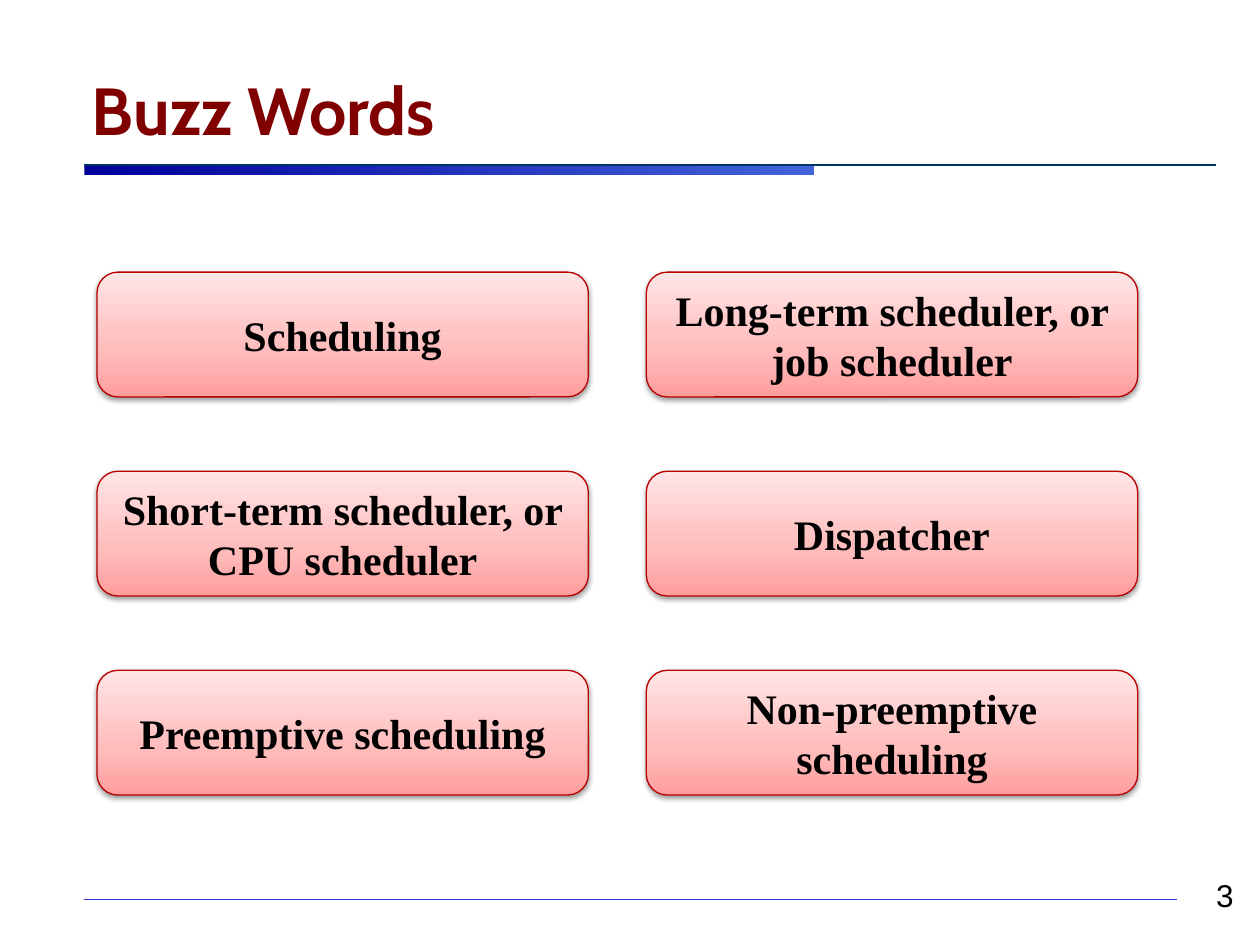
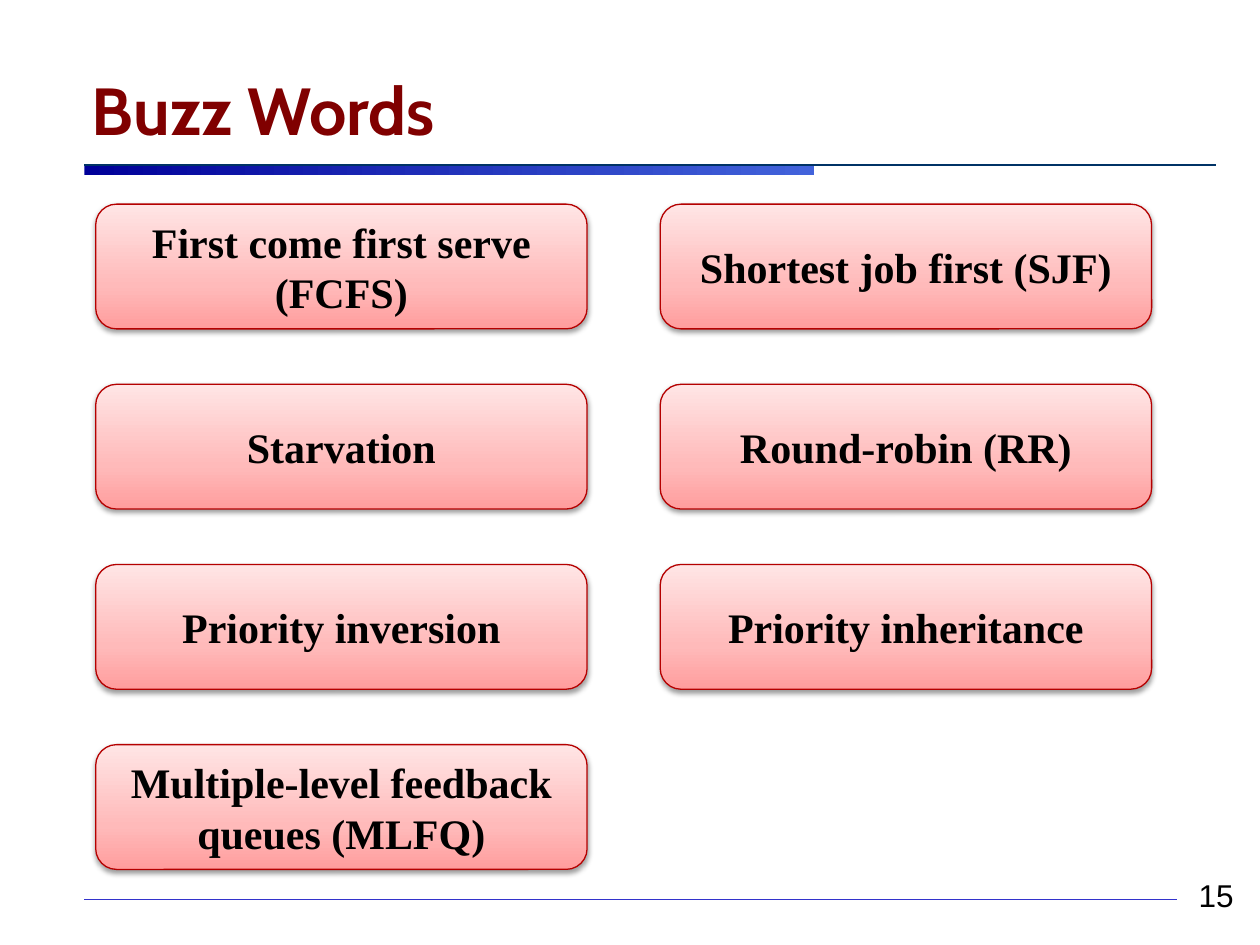
"""Build the two Buzz Words slides on scheduling."""
from copy import deepcopy

from lxml.etree import SubElement
from pptx import Presentation
from pptx.dml.color import RGBColor
from pptx.enum.shapes import MSO_CONNECTOR, MSO_SHAPE
from pptx.enum.text import MSO_ANCHOR, MSO_AUTO_SIZE, PP_ALIGN
from pptx.oxml.ns import qn
from pptx.util import Inches, Pt

COLUMNS, ROWS = 100, 75
CELL = Inches(0.1)
TITLE_ONLY = 5

MAROON = RGBColor(0x80, 0x00, 0x00)
BLACK = RGBColor(0x00, 0x00, 0x00)
NAVY = RGBColor(0x00, 0x33, 0x66)
INDIGO = RGBColor(0x33, 0x33, 0xCC)
BAND_DARK = RGBColor(0x00, 0x00, 0x99)
BAND_LIGHT = RGBColor(0x42, 0x63, 0xDB)
CARD_EDGE = RGBColor(0xB5, 0x00, 0x00)
CARD_STOPS = [
    (0, RGBColor(0xFF, 0x9D, 0x9D)),
    (0.35, RGBColor(0xFF, 0xBA, 0xBA)),
    (1, RGBColor(0xFF, 0xE5, 0xE5)),
]
BAND_STOPS = [(0, BAND_DARK), (1, BAND_LIGHT)]

SLIDES = [
    {
        "page": "3",
        "origin": (7.7, 21.6),
        "step": (43.6, 15.8),
        "words": [
            "Scheduling", "Long-term scheduler, or job scheduler",
            "Short-term scheduler, or CPU scheduler", "Dispatcher",
            "Preemptive scheduling", "Non-preemptive scheduling",
        ],
    },
    {
        "page": "15",
        "origin": (7.6, 16.2),
        "step": (44.8, 14.3),
        "words": [
            "First come first serve (FCFS)", "Shortest job first (SJF)",
            "Starvation", "Round-robin (RR)",
            "Priority inversion", "Priority inheritance",
            "Multiple-level feedback queues (MLFQ)",
        ],
    },
]


def cells(*lengths):
    """Turn grid counts into slide lengths."""
    return [round(length * CELL) for length in lengths]


def write(frame, text, font="Times New Roman", size=24, color=BLACK,
          bold=False, align=PP_ALIGN.LEFT, anchor=MSO_ANCHOR.MIDDLE):
    """Put formatted text into a frame."""
    frame.word_wrap = True
    frame.auto_size = MSO_AUTO_SIZE.NONE
    frame.vertical_anchor = anchor
    paragraph = frame.paragraphs[0]
    paragraph.alignment = align
    run = paragraph.add_run()
    run.text = text
    run.font.name = font
    run.font.size = Pt(size)
    run.font.bold = bold
    run.font.color.rgb = color


def fill_gradient(shape, stops, angle):
    """Fill a shape with a linear gradient of any number of stops."""
    shape.fill.gradient()
    shape.fill.gradient_angle = angle
    stop_list = shape.element.spPr.find(".//" + qn("a:gsLst"))
    while len(stop_list) < len(stops):
        stop_list.append(deepcopy(stop_list[0]))
    for stop, (position, color) in zip(shape.fill.gradient_stops, stops):
        stop.position = position
        stop.color.rgb = color


def cast_shadow(shape):
    """Give a shape a soft shadow below it."""
    effects = shape.element.spPr.find(qn("a:effectLst"))
    shadow = SubElement(effects, qn("a:outerShdw"), blurRad="40000",
                        dist="20000", dir="5400000", rotWithShape="0")
    tone = SubElement(shadow, qn("a:srgbClr"), val=str(BLACK))
    SubElement(tone, qn("a:alpha"), val="38000")


class Deck:
    """Holds the shared style and the current slide."""

    def __init__(self):
        """Start an empty presentation of the grid's size."""
        self.presentation = Presentation()
        self.presentation.slide_width, self.presentation.slide_height = cells(COLUMNS, ROWS)
        self.slide = None

    def new_slide(self, title, page):
        """Add a slide with its title, band, footer rule and page number."""
        layout = self.presentation.slide_layouts[TITLE_ONLY]
        self.slide = self.presentation.slides.add_slide(layout)
        self.title(title)
        self.band()
        self.rule(6.7, 96.5, 13.1, NAVY, 0.75)
        self.rule(6.7, 93.4, 71.4, INDIGO, 0.25)
        self.page_number(page)

    def title(self, text):
        """Place the title placeholder."""
        heading = self.slide.shapes.title
        heading.left, heading.top, heading.width, heading.height = cells(6.3, 3.3, 82.3, 9)
        write(heading.text_frame, text, font="Cabin", size=38, color=MAROON,
              bold=True, anchor=MSO_ANCHOR.BOTTOM)

    def band(self):
        """Draw the blue band under the title."""
        band = self.slide.shapes.add_shape(MSO_SHAPE.RECTANGLE, *cells(6.7, 13.1, 57.9, 0.8))
        band.shadow.inherit = False
        band.line.fill.background()
        fill_gradient(band, BAND_STOPS, 0)

    def rule(self, left, right, row, color, weight):
        """Draw a horizontal line."""
        rule = self.slide.shapes.add_connector(
            MSO_CONNECTOR.STRAIGHT, *cells(left, row, right, row))
        rule.line.color.rgb = color
        rule.line.width = Pt(weight)
        SubElement(rule.element.spPr, qn("a:effectLst"))

    def page_number(self, page):
        """Write the page number at the bottom right."""
        corner = self.slide.shapes.add_textbox(*cells(83.9, 69, 15, 4))
        write(corner.text_frame, page, font="Arial", size=18,
              align=PP_ALIGN.RIGHT, anchor=MSO_ANCHOR.BOTTOM)

    def card(self, word, column, row):
        """Draw one rounded card holding a buzz word."""
        card = self.slide.shapes.add_shape(
            MSO_SHAPE.ROUNDED_RECTANGLE, *cells(column, row, 39, 9.9))
        card.shadow.inherit = False
        fill_gradient(card, CARD_STOPS, 90)
        card.line.color.rgb = CARD_EDGE
        card.line.width = Pt(0.75)
        cast_shadow(card)
        write(card.text_frame, word, bold=True, align=PP_ALIGN.CENTER)

    def cards(self, words, origin, step):
        """Lay the buzz words out in two columns."""
        for index, word in enumerate(words):
            row, column = divmod(index, 2)
            self.card(word, origin[0] + column * step[0], origin[1] + row * step[1])


def main():
    """Build and save the slides."""
    deck = Deck()
    for content in SLIDES:
        deck.new_slide("Buzz Words", content["page"])
        deck.cards(content["words"], content["origin"], content["step"])
    deck.presentation.save("out.pptx")


if __name__ == "__main__":
    main()
